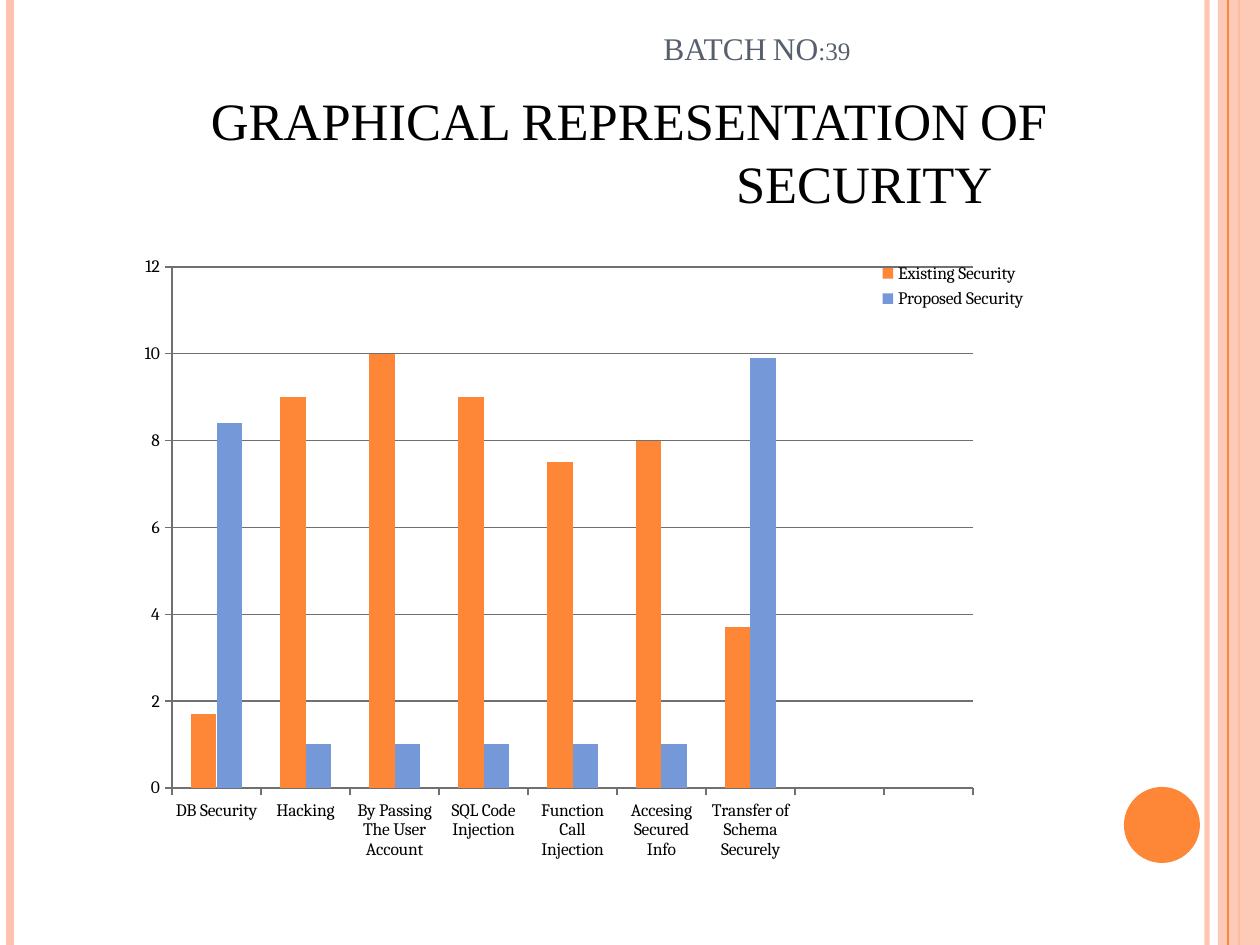
from dataclasses import dataclass, field

from lxml.etree import SubElement
from pptx import Presentation
from pptx.chart.data import CategoryChartData
from pptx.dml.color import RGBColor
from pptx.enum.chart import XL_CHART_TYPE, XL_LEGEND_POSITION, XL_TICK_MARK
from pptx.enum.shapes import MSO_CONNECTOR, MSO_SHAPE
from pptx.enum.text import MSO_ANCHOR, PP_ALIGN
from pptx.oxml import parse_xml
from pptx.oxml.ns import nsdecls, qn
from pptx.util import Pt

WIDTH, HEIGHT = 1260, 945


def px(length):
    """Turn picture pixels into EMU."""
    return round(length * 914400 / 126)


@dataclass(frozen=True)
class Theme:
    """Colours, fonts and type sizes."""
    orange: str = "FE8637"
    peach: str = "FEC3AE"
    blue: str = "7598D9"
    slate: str = "575F6D"
    grey: str = "707070"
    black: str = "000000"
    heading_font: str = "Times New Roman"
    chart_font: str = "Cambria"
    title_size: int = 30
    batch_size: int = 18
    chart_size: int = 10


@dataclass
class Canvas:
    """Draws themed elements on one slide."""
    page: object
    theme: Theme = field(default_factory=Theme)

    def set_alpha(self, fill, alpha):
        """Make a solid fill partly transparent."""
        color = fill._xPr.find(qn("a:solidFill"))[0]
        SubElement(color, qn("a:alpha")).set("val", str(alpha * 1000))

    def rule(self, x, color, width, alpha=100):
        """Draw a vertical line over the full page height."""
        line = self.page.shapes.add_connector(
            MSO_CONNECTOR.STRAIGHT, px(x), 0, px(x), px(HEIGHT))
        line.line.color.rgb = RGBColor.from_string(color)
        line.line.width = Pt(width)
        if alpha < 100:
            self.set_alpha(line.line.fill, alpha)
        SubElement(line._element.spPr, qn("a:effectLst"))

    def shape(self, kind, area, color, alpha=100):
        """Draw a plain filled shape."""
        shape = self.page.shapes.add_shape(kind, *map(px, area))
        shape.shadow.inherit = False
        shape.fill.solid()
        shape.fill.fore_color.rgb = RGBColor.from_string(color)
        shape.line.fill.background()
        if alpha < 100:
            self.set_alpha(shape.fill, alpha)

    def text(self, lines, area, *, size, color, align=PP_ALIGN.LEFT, leading=None, bottom=6):
        """Write small-cap lines given as pairs of wording and indent."""
        frame = self.page.shapes.add_textbox(*map(px, area)).text_frame
        frame.word_wrap = True
        frame.vertical_anchor = MSO_ANCHOR.BOTTOM
        frame.margin_bottom = px(bottom)
        for index, (words, indent) in enumerate(lines):
            para = frame.paragraphs[0] if index == 0 else frame.add_paragraph()
            para.alignment = align
            if leading:
                para.line_spacing = Pt(leading)
            para._p.get_or_add_pPr().set("marL", str(px(indent)))
            span = para.add_run()
            span.text = words
            span.font.name = self.theme.heading_font
            span.font.size = Pt(size)
            span.font.color.rgb = RGBColor.from_string(color)
            span._r.get_or_add_rPr().set("cap", "small")

    def layout(self, area, frame, inner=False):
        """Build a manual chart layout for a pixel area inside the frame."""
        left, top, width, height = frame
        values = {"x": (area[0] - left) / width, "y": (area[1] - top) / height,
                  "w": area[2] / width, "h": area[3] / height}
        target = '<c:layoutTarget val="inner"/>' if inner else ""
        modes = '<c:xMode val="edge"/><c:yMode val="edge"/>'
        sizes = "".join(f'<c:{key} val="{value:.4f}"/>' for key, value in values.items())
        return parse_xml(f'<c:layout {nsdecls("c")}><c:manualLayout>{target}{modes}{sizes}'
                         '</c:manualLayout></c:layout>')

    def column_chart(self, categories, series, area, plot_area, legend_area):
        """Draw clustered columns from name, colour and values."""
        data = CategoryChartData()
        data.categories = categories
        for name, _, values in series:
            data.add_series(name, values)
        chart = self.page.shapes.add_chart(
            XL_CHART_TYPE.COLUMN_CLUSTERED, *map(px, area), data).chart
        chart.has_title = False
        chart.font.name = self.theme.chart_font
        chart.font.size = Pt(self.theme.chart_size)
        chart.font.color.rgb = RGBColor.from_string(self.theme.black)
        plot = chart.plots[0]
        plot.vary_by_categories = False
        plot.gap_width, plot.overlap = 150, 0
        for bars, (_, color, _) in zip(plot.series, series):
            bars.invert_if_negative = False
            bars.format.fill.solid()
            bars.format.fill.fore_color.rgb = RGBColor.from_string(color)
        scale = chart.value_axis
        scale.minimum_scale, scale.maximum_scale, scale.major_unit = 0, 12, 2
        scale.has_major_gridlines = True
        for axis in (scale, chart.category_axis):
            axis.major_tick_mark = XL_TICK_MARK.OUTSIDE
            axis.minor_tick_mark = XL_TICK_MARK.NONE
        for part in (scale, chart.category_axis, scale.major_gridlines):
            part.format.line.color.rgb = RGBColor.from_string(self.theme.grey)
            part.format.line.width = Pt(0.75)
        chart.has_legend = True
        legend = chart.legend
        legend.position = XL_LEGEND_POSITION.CORNER
        legend.include_in_layout = False
        position = legend._element.find(qn("c:legendPos"))
        position.addnext(self.layout(legend_area, area))
        plot_element = chart._chartSpace.chart.plotArea
        for old in plot_element.findall(qn("c:layout")):
            plot_element.remove(old)
        plot_element.insert(0, self.layout(plot_area, area, inner=True))


def main():
    """Build and save the security comparison slide."""
    deck = Presentation()
    deck.slide_width, deck.slide_height = px(WIDTH), px(HEIGHT)
    canvas = Canvas(deck.slides.add_slide(deck.slide_layouts[6]))
    theme = canvas.theme

    canvas.rule(1207, theme.peach, 3, alpha=93)
    canvas.rule(10, theme.peach, 4.5)
    canvas.rule(1239, theme.orange, 1.5)
    canvas.shape(MSO_SHAPE.RECTANGLE, (1218, 0, 42, HEIGHT), theme.peach, alpha=87)
    canvas.rule(1228, theme.orange, 0.75)
    canvas.shape(MSO_SHAPE.OVAL, (1124, 787, 76, 76), theme.orange)

    canvas.text([("GRAPHICAL REPRESENTATION OF", 40), ("SECURITY", 254)],
                (94, 63, 1030, 157), size=theme.title_size, color=theme.black,
                align=PP_ALIGN.CENTER, leading=36)
    canvas.text([("BATCH NO:39", 577)], (74, 0, 1134, 76),
                size=theme.batch_size, color=theme.slate, bottom=9)

    categories = ["DB Security", "Hacking", "By Passing The User Account",
                  "SQL Code Injection", "Function Call Injection",
                  "Accesing Secured Info", "Transfer of Schema Securely", "", ""]
    series = [
        ("Existing Security", theme.orange, (1.7, 9, 10, 9, 7.5, 8, 3.7, None, None)),
        ("Proposed Security", theme.blue, (8.4, 1, 1, 1, 1, 1, 9.9, None, None)),
    ]
    canvas.column_chart(categories, series, area=(123, 244, 1032, 627),
                        plot_area=(172, 267, 801, 521), legend_area=(868, 258, 170, 56))
    deck.save("out.pptx")


main()
